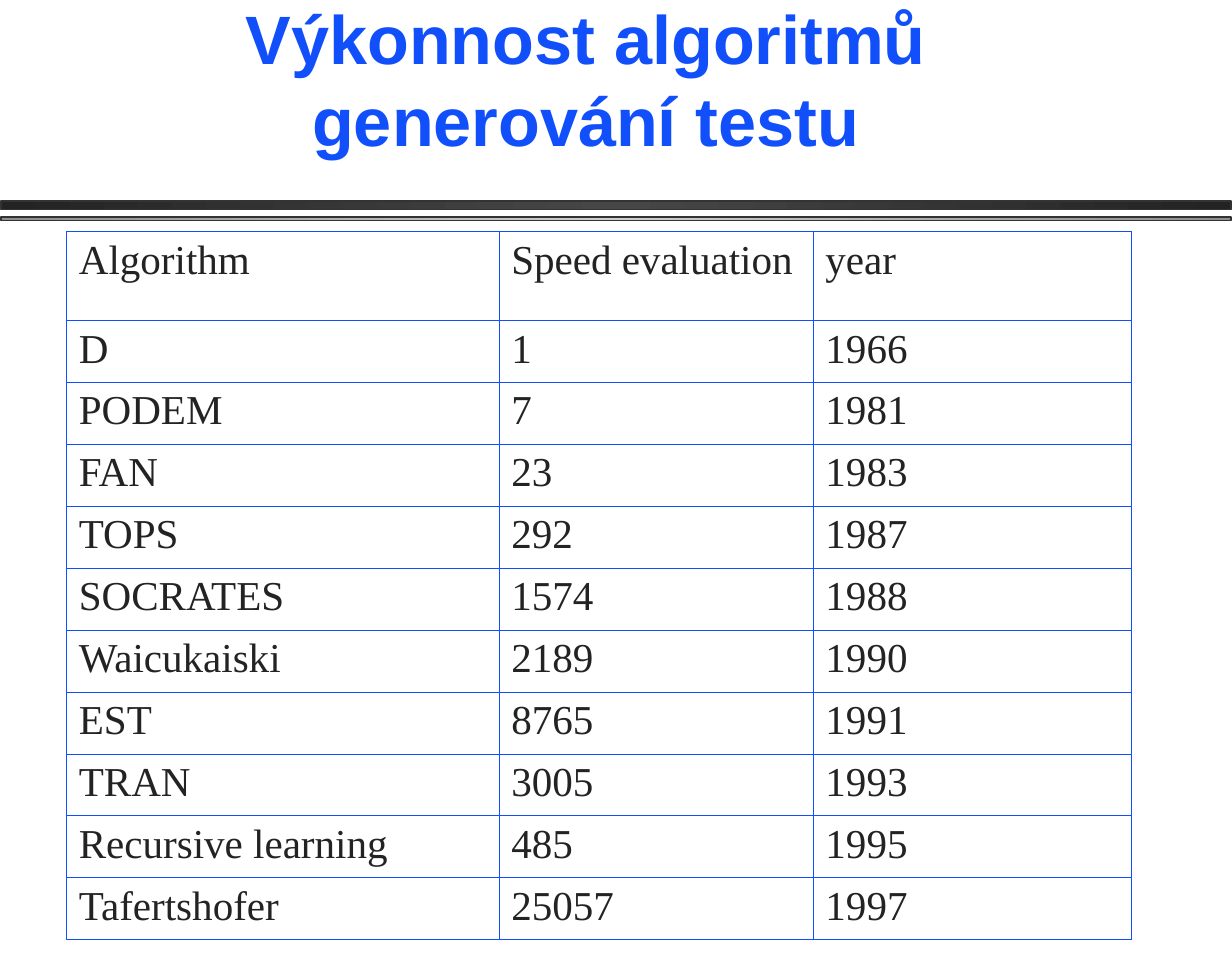
from copy import deepcopy
from dataclasses import dataclass

from lxml import etree
from pptx import Presentation
from pptx.dml.color import RGBColor
from pptx.enum.shapes import MSO_SHAPE
from pptx.enum.text import MSO_ANCHOR, MSO_AUTO_SIZE, PP_ALIGN
from pptx.oxml.ns import qn
from pptx.util import Inches, Pt

RECT = MSO_SHAPE.RECTANGLE
BOTTOM = MSO_ANCHOR.BOTTOM
NO_AUTOFIT = MSO_AUTO_SIZE.NONE
LEFT, CENTER = PP_ALIGN.LEFT, PP_ALIGN.CENTER


@dataclass
class Theme:
    blue: str = "114FFB"
    ink: str = "232323"
    bar_line: str = "333333"
    bar_dark: tuple = ("232323", "474747")
    bar_light: tuple = ("8F8F8F", "CECECE")
    title_font: str = "Arial"
    body_font: str = "Times New Roman"
    title_size: int = 40
    body_size: int = 24
    border: float = 0.45


theme = Theme()


def write(tf, text, *, font, size, color, bold=False, align=LEFT, hanging=0):
    p = tf.paragraphs[0]
    p.alignment = align
    if hanging:
        pPr = p._p.get_or_add_pPr()
        pPr.set("marL", str(Inches(hanging)))
        pPr.set("indent", str(-Inches(hanging)))
    r = p.add_run()
    r.text = text
    r.font.name = font
    r.font.size = Pt(size)
    r.font.bold = bold
    r.font.color.rgb = RGBColor.from_string(color)


def add_borders(cell, color, width):
    tcPr = cell._tc.get_or_add_tcPr()
    for side in ("a:lnL", "a:lnR", "a:lnT", "a:lnB"):
        ln = etree.SubElement(tcPr, qn(side), w=str(Pt(width)))
        fill = etree.SubElement(ln, qn("a:solidFill"))
        etree.SubElement(fill, qn("a:srgbClr"), val=color)


prs = Presentation()
prs.slide_width, prs.slide_height = Inches(10), Inches(7.8)
s = prs.slides.add_slide(prs.slide_layouts[5])

# Double rule under the title, lighter in the middle
for top, height, (edge, middle) in ((1.63, 0.07, theme.bar_dark),
                                    (1.76, 0.03, theme.bar_light)):
    bar = s.shapes.add_shape(RECT, Inches(0.01), Inches(top), Inches(9.98), Inches(height))
    bar.shadow.inherit = False
    bar.line.color.rgb = RGBColor.from_string(theme.bar_line)
    bar.line.width = Pt(1)
    bar.fill.gradient()
    bar.fill.gradient_angle = 180
    gs_list = bar._element.spPr.find(".//" + qn("a:gsLst"))
    gs_list.append(deepcopy(gs_list[0]))
    for stop, position, color in zip(bar.fill.gradient_stops, (0, 0.5, 1), (edge, middle, edge)):
        stop.position = position
        stop.color.rgb = RGBColor.from_string(color)

# Title
title = s.shapes.title
title.left, title.top = Inches(1.15), Inches(0.45)
title.width, title.height = Inches(7.21), Inches(0.9)
tf = title.text_frame
tf.auto_size = NO_AUTOFIT
tf.word_wrap = True
tf.vertical_anchor = BOTTOM
write(tf, "Výkonnost algoritmů generování testu", font=theme.title_font,
      size=theme.title_size, color=theme.blue, bold=True, align=CENTER)

# Table of algorithms
rows = [
    ("Algorithm", "Speed evaluation", "year"),
    ("D", "1", "1966"),
    ("PODEM", "7", "1981"),
    ("FAN", "23", "1983"),
    ("TOPS", "292", "1987"),
    ("SOCRATES", "1574", "1988"),
    ("Waicukaiski", "2189", "1990"),
    ("EST", "8765", "1991"),
    ("TRAN", "3005", "1993"),
    ("Recursive learning", "485", "1995"),
    ("Tafertshofer", "25057", "1997"),
]
col_widths = (3.51, 2.55, 2.58)
header_height, row_height = 0.72, 0.503

table = s.shapes.add_table(len(rows), len(col_widths), Inches(0.54), Inches(1.88),
                           Inches(8.64), Inches(5.75)).table
table.first_row = table.horz_banding = False
for column, width in zip(table.columns, col_widths):
    column.width = Inches(width)
for i, values in enumerate(rows):
    table.rows[i].height = Inches(row_height if i else header_height)
    for j, value in enumerate(values):
        cell = table.cell(i, j)
        add_borders(cell, theme.blue, theme.border)
        cell.fill.background()
        write(cell.text_frame, value, font=theme.body_font, size=theme.body_size,
              color=theme.ink, hanging=0.38)

prs.save("out.pptx")
